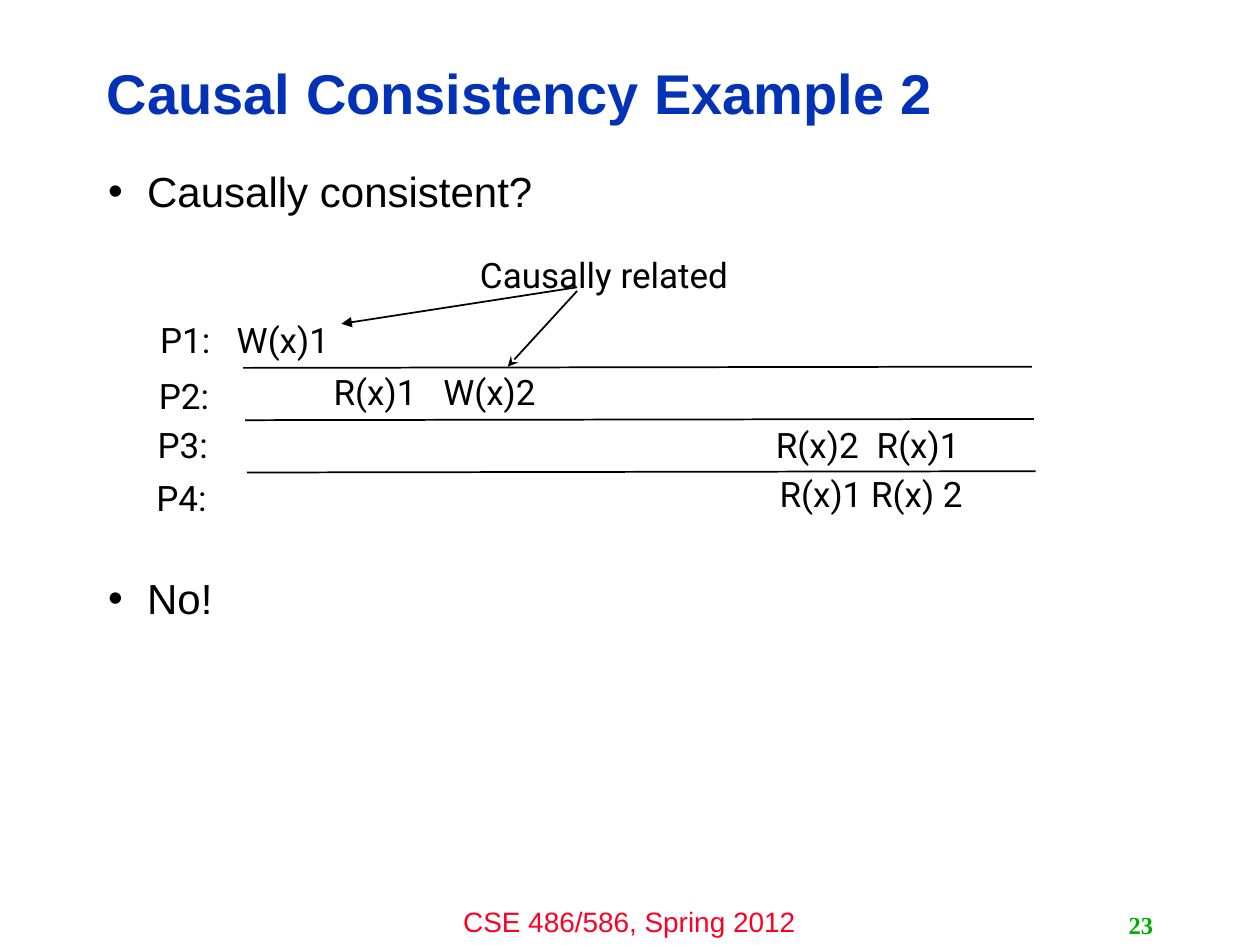
from lxml import etree
from pptx import Presentation
from pptx.dml.color import RGBColor
from pptx.enum.shapes import MSO_CONNECTOR
from pptx.enum.text import MSO_ANCHOR as ANCHOR, PP_ALIGN as ALIGN
from pptx.oxml.ns import qn
from pptx.util import Inches, Pt

BLACK = RGBColor(0x00, 0x00, 0x00)
WHITE = RGBColor(0xFF, 0xFF, 0xFF)
BLUE = RGBColor(0x03, 0x32, 0xB7)
RED = RGBColor(0xFC, 0x01, 0x28)
GREEN = RGBColor(0x00, 0xAE, 0x00)


def add_run(p, text, size, font, color, bold=False):
    """Append one formatted run to a paragraph."""
    r = p.add_run()
    r.text = text
    r.font.size = Pt(size)
    r.font.name = font
    r.font.bold = bold
    r.font.color.rgb = color


def add_box(s, box, wrap=True, anchor=ANCHOR.TOP):
    """Add an empty text box and return its text frame."""
    tf = s.shapes.add_textbox(*map(Inches, box)).text_frame
    tf.word_wrap = wrap
    tf.vertical_anchor = anchor
    return tf


def add_label(s, box, text, size=20, font="Roboto", color=BLACK, bold=False,
              align=ALIGN.CENTER, wrap=False, anchor=ANCHOR.TOP):
    """Add a text box with one paragraph and return the paragraph."""
    p = add_box(s, box, wrap, anchor).paragraphs[0]
    p.alignment = align
    add_run(p, text, size, font, color, bold)
    return p


def add_line(s, start, end, arrow=None):
    """Draw a thin black line, with an optional arrowhead at its end."""
    line = s.shapes.add_connector(MSO_CONNECTOR.STRAIGHT, *map(Inches, start + end))
    line.line.color.rgb = BLACK
    line.line.width = Pt(1)
    if arrow:
        etree.SubElement(line.line._get_or_add_ln(), qn("a:tailEnd"), type=arrow)
    etree.SubElement(line._element.spPr, qn("a:effectLst"))


def add_bullets(s, box, items):
    """Add bulleted paragraphs given as text and space before in points."""
    tf = add_box(s, box)
    for i, (text, before) in enumerate(items):
        p = tf.add_paragraph() if i else tf.paragraphs[0]
        p.line_spacing = 0.9
        p.space_before = Pt(before)
        pPr = p._p.get_or_add_pPr()
        pPr.set("marL", str(Inches(0.31)))
        pPr.set("indent", str(Inches(-0.31)))
        etree.SubElement(pPr, qn("a:buFont"), typeface="Arial")
        etree.SubElement(pPr, qn("a:buChar"), char="\u2022")
        add_run(p, text, 24, "Arial", BLACK)


def add_timeline(s, left, top):
    """Draw the four process rows, their operations and the causal arrows."""
    for i in range(3):
        x, y = left + 0.8 + 0.015 * i, top + 0.96 + 0.415 * i
        add_line(s, (x, y), (x + 6.26, y - 0.01))
    for i, y in enumerate((0.52, 0.96, 1.35, 1.77)):
        add_label(s, (left + 0.03 - 0.01 * i, top + y, 0.62, 0.44), f"P{i + 1}:")
    operations = [
        (0.64, 0.52, 0.95, "W(x)1", None),
        (1.42, 0.93, 1.87, "R(x)1\tW(x)2", 0.87),
        (4.93, 1.35, 1.73, "R(x)2\tR(x)1", 0.8),
        (4.92, 1.74, 1.73, "R(x)1 R(x) 2", None),
    ]
    for x, y, width, text, stop in operations:
        p = add_label(s, (left + x, top + y, width, 0.44), text,
                      align=ALIGN.LEFT if stop else ALIGN.CENTER)
        if stop:
            tabs = etree.SubElement(p._p.get_or_add_pPr(), qn("a:tabLst"))
            etree.SubElement(tabs, qn("a:tab"), pos=str(Inches(stop)), algn="l")
    add_line(s, (left + 3.45, top + 0.32), (left + 1.58, top + 0.61), "triangle")
    add_line(s, (left + 3.45, top + 0.35), (left + 2.9, top + 0.95), "stealth")
    add_label(s, (left + 2.56, top, 2.21, 0.44), "Causally related")


def add_footer(s, left, top):
    """Add the course name and the page number."""
    add_label(s, (left, top, 3.33, 0.37), "CSE 486/586, Spring 2012",
              16, "Arial", RED, wrap=True)
    add_label(s, (left + 3.84, top + 0.05, 2.08, 0.32), "23", 14,
              "Times New Roman", GREEN, True, ALIGN.RIGHT, anchor=ANCHOR.MIDDLE)


def build_slide(prs):
    """Build the causal consistency example slide."""
    s = prs.slides.add_slide(prs.slide_layouts[6])
    s.background.fill.solid()
    s.background.fill.fore_color.rgb = WHITE
    add_footer(s, 3.33, 7.13)
    title = add_label(s, (0.75, 0.36, 7.98, 0.81), "Causal Consistency Example 2",
                      32, "Arial", BLUE, True, ALIGN.LEFT, True, ANCHOR.MIDDLE)
    title.line_spacing = 0.9
    add_bullets(s, (0.76, 1.31, 8.4, 5.39),
                [("Causally consistent?", 0), ("No!", 206.6)])
    add_timeline(s, 1.13, 1.96)


prs = Presentation()
prs.slide_width = Inches(10)
prs.slide_height = Inches(7.5)
build_slide(prs)
prs.save("out.pptx")
